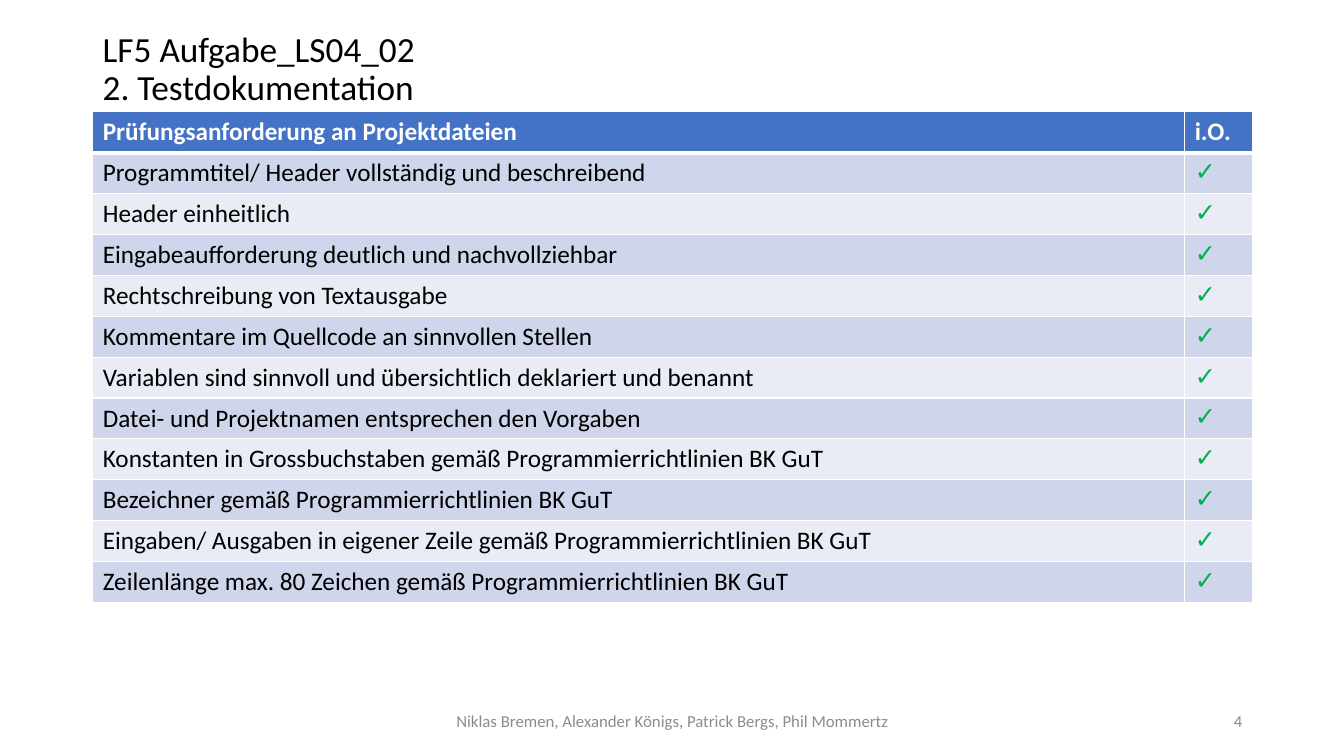
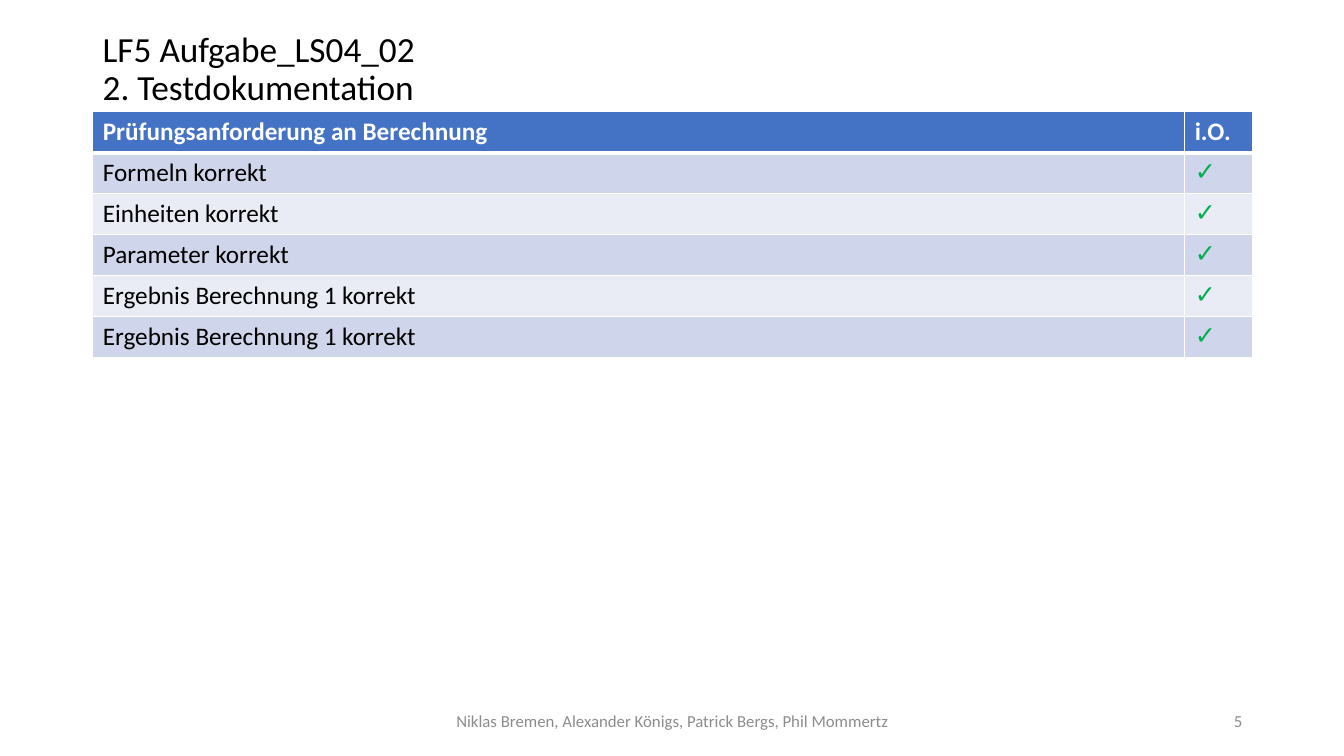
import pptx
import pptx.dml.color
import pptx.enum.text
import pptx.oxml
import pptx.oxml.ns
import pptx.util

Inches = pptx.util.Inches
Pt = pptx.util.Pt
RGB = pptx.dml.color.RGBColor
ALIGN = pptx.enum.text.PP_ALIGN
MIDDLE = pptx.enum.text.MSO_ANCHOR.MIDDLE

BLACK = RGB(0x00, 0x00, 0x00)
WHITE = RGB(0xFF, 0xFF, 0xFF)
GRAY = RGB(0x8C, 0x8C, 0x8C)
BLUE = RGB(0x44, 0x72, 0xC4)
GREEN = RGB(0x00, 0xB0, 0x50)
BANDS = RGB(0xCF, 0xD5, 0xEA), RGB(0xE9, 0xEB, 0xF5)

LEFT = 0.92
COLS = 10.83, 0.67
ROW = 4.87 / 12

TITLE = "LF5 Aufgabe_LS04_02\n2. Testdokumentation"
AUTHORS = "Niklas Bremen, Alexander Königs, Patrick Bergs, Phil Mommertz"

CHECKS = [
    (4, "Prüfungsanforderung an Projektdateien", [
        "Programmtitel/ Header vollständig und beschreibend",
        "Header einheitlich",
        "Eingabeaufforderung deutlich und nachvollziehbar",
        "Rechtschreibung von Textausgabe",
        "Kommentare im Quellcode an sinnvollen Stellen",
        "Variablen sind sinnvoll und übersichtlich deklariert und benannt",
        "Datei- und Projektnamen entsprechen den Vorgaben",
        "Konstanten in Grossbuchstaben gemäß Programmierrichtlinien BK GuT",
        "Bezeichner gemäß Programmierrichtlinien BK GuT",
        "Eingaben/ Ausgaben in eigener Zeile gemäß Programmierrichtlinien BK GuT",
        "Zeilenlänge max. 80 Zeichen gemäß Programmierrichtlinien BK GuT",
    ]),
    (5, "Prüfungsanforderung an Berechnung", [
        "Formeln korrekt",
        "Einheiten korrekt",
        "Parameter korrekt",
        "Ergebnis Berechnung 1 korrekt",
        "Ergebnis Berechnung 1 korrekt",
    ]),
]


def write(frame, text, size=18, color=BLACK, font="Calibri", bold=False,
          align=ALIGN.LEFT, space=None):
    para = frame.paragraphs[0]
    para.text = text
    para.alignment = align
    para.line_spacing = space
    for run in para.runs:
        run.font.size = Pt(size)
        run.font.name = font
        run.font.bold = bold
        run.font.color.rgb = color


def edge(cell, **widths):
    """Draw white cell borders; keys are L, R, T, B in that order."""
    props = cell._tc.get_or_add_tcPr()
    for side, width in widths.items():
        props.append(pptx.oxml.parse_xml(
            f'<a:ln{side} {pptx.oxml.ns.nsdecls("a")} w="{Pt(width)}">'
            f'<a:solidFill><a:srgbClr val="{WHITE}"/></a:solidFill>'
            f'</a:ln{side}>'))


class Deck:
    def __init__(self):
        self.file = pptx.Presentation()
        self.file.slide_width = Inches(13.33)
        self.file.slide_height = Inches(7.5)
        self.slide = None

    def page(self, number):
        """Start a slide with the shared title and footer."""
        self.slide = self.file.slides.add_slide(self.file.slide_layouts[6])
        self.text(TITLE, LEFT, 0.4, 11.5, 0.59, size=25.2, space=0.9)
        self.text(AUTHORS, 4.42, 6.95, 4.5, 0.4, size=12, color=GRAY,
                  align=ALIGN.CENTER)
        self.text(str(number), 9.42, 6.95, 3, 0.4, size=12, color=GRAY,
                  align=ALIGN.RIGHT)

    def text(self, text, left, top, width, height, **style):
        box = self.slide.shapes.add_textbox(
            Inches(left), Inches(top), Inches(width), Inches(height))
        frame = box.text_frame
        frame.word_wrap = True
        frame.vertical_anchor = MIDDLE
        write(frame, text, **style)

    def table(self, head, items):
        count = len(items) + 1
        table = self.slide.shapes.add_table(
            count, len(COLS), Inches(LEFT), Inches(1.11),
            Inches(sum(COLS)), Inches(ROW * count)).table
        for col, width in zip(table.columns, COLS):
            col.width = Inches(width)
        for row in table.rows:
            row.height = Inches(ROW)
        self.row(table, 0, BLUE, (head, "i.O."),
                 [dict(color=WHITE, bold=True)] * 2)
        for index, item in enumerate(items, 1):
            self.row(table, index, BANDS[(index - 1) % 2], (item, "✓"),
                     [{}, dict(color=GREEN, font="Arial")])

    def row(self, table, index, fill, texts, styles):
        for col, (text, style) in enumerate(zip(texts, styles)):
            cell = table.cell(index, col)
            edge(cell, L=1, R=1, T=3 if index == 1 else 1,
                 B=3 if index == 0 else 1)
            cell.fill.solid()
            cell.fill.fore_color.rgb = fill
            write(cell.text_frame, text, **style)


def main():
    deck = Deck()
    for number, head, items in CHECKS:
        deck.page(number)
        deck.table(head, items)
    deck.file.save("out.pptx")


if __name__ == "__main__":
    main()
